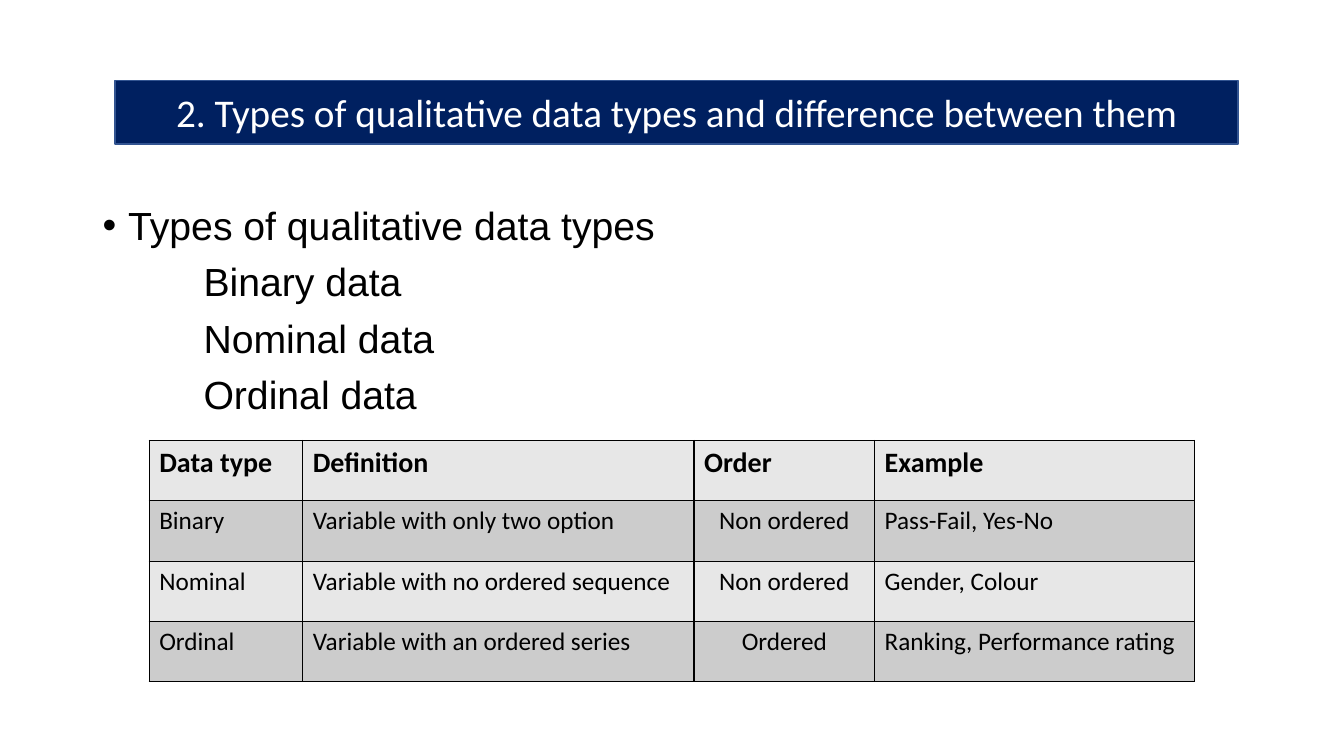
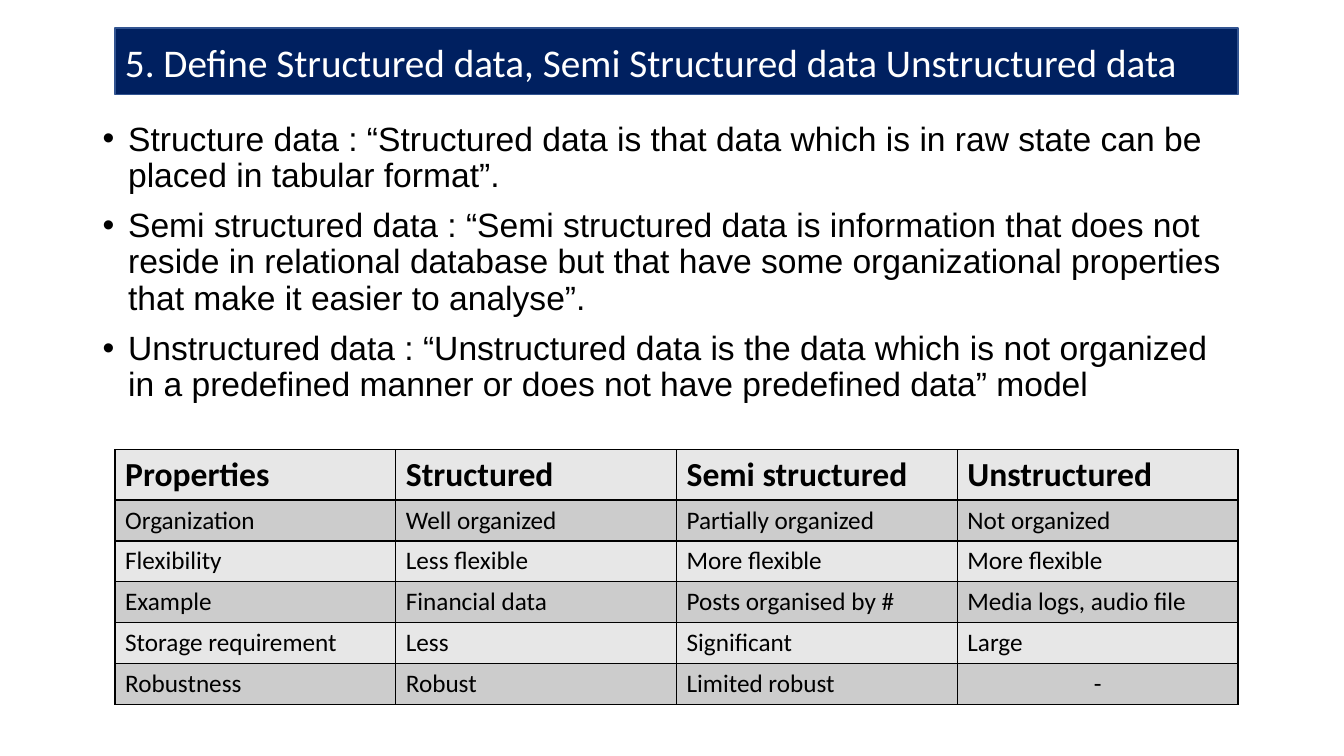
import dataclasses

import lxml.etree
import pptx
import pptx.dml.color
import pptx.enum.shapes
import pptx.enum.text
import pptx.oxml
import pptx.oxml.ns
import pptx.util

Cm = pptx.util.Cm
Pt = pptx.util.Pt
Align = pptx.enum.text.PP_ALIGN
qn = pptx.oxml.ns.qn


def paint(code):
    return pptx.dml.color.RGBColor.from_string(code)


@dataclasses.dataclass(frozen=True)
class Theme:
    ink: str = "000000"
    navy: str = "002060"
    edge: str = "325491"
    white: str = "FFFFFF"
    bands: tuple = ("E7E7E7", "CCCCCC")
    sans: str = "Arial"
    face: str = "Calibri"
    large: int = 28
    mid: int = 24
    head: int = 20
    small: int = 18
    rule: int = 1


THEME = Theme()


@dataclasses.dataclass(frozen=True)
class Box:
    left: float
    top: float
    width: float
    height: float

    def place(self):
        return [Cm(v) for v in (self.left, self.top, self.width, self.height)]


def assign(item, values):
    for name, value in values.items():
        setattr(item, name, value)


def write(par, text, face, size, tone, align=Align.LEFT, bold=False):
    par.alignment = align
    run = par.add_run()
    run.text = text
    assign(run.font, {"name": face, "size": Pt(size), "bold": bold})
    run.font.color.rgb = paint(tone)


def add_title(slide, box, text, align):
    bar = slide.shapes.add_shape(
        pptx.enum.shapes.MSO_SHAPE.RECTANGLE, *box.place())
    bar.shadow.inherit = False
    bar.fill.solid()
    bar.fill.fore_color.rgb = paint(THEME.navy)
    bar.line.color.rgb = paint(THEME.edge)
    bar.line.width = Pt(THEME.rule)
    assign(bar.text_frame, {
        "word_wrap": True,
        "vertical_anchor": pptx.enum.text.MSO_ANCHOR.MIDDLE})
    write(bar.text_frame.paragraphs[0], text, THEME.face, THEME.large,
          THEME.white, align)


def indent(par, left, hang, mark):
    props = par._p.get_or_add_pPr()
    props.set("marL", str(Cm(left)))
    props.set("indent", str(-Cm(hang)))
    if mark:
        font = lxml.etree.SubElement(props, qn("a:buFont"))
        font.set("typeface", THEME.sans)
        lxml.etree.SubElement(props, qn("a:buChar")).set("char", mark)
    else:
        lxml.etree.SubElement(props, qn("a:buNone"))


def add_body(slide, box, size, points, subs=()):
    frame = slide.shapes.add_textbox(*box.place()).text_frame
    frame.word_wrap = True
    lines = [(text, 0.64, 0.64, "\u2022") for text in points]
    lines += [(text, 2.54, 0, None) for text in subs]
    for i, (text, left, hang, mark) in enumerate(lines):
        par = frame.add_paragraph() if i else frame.paragraphs[0]
        assign(par, {"line_spacing": 0.9, "space_before": Pt(10)})
        indent(par, left, hang, mark)
        write(par, text, THEME.sans, size, THEME.ink)


def border(cell):
    props = cell._tc.get_or_add_tcPr()
    for side in "LRTB":
        line = lxml.etree.SubElement(props, qn("a:ln" + side))
        line.set("w", str(Pt(THEME.rule)))
        fill = lxml.etree.SubElement(line, qn("a:solidFill"))
        lxml.etree.SubElement(fill, qn("a:srgbClr")).set("val", THEME.ink)


def add_grid(slide, box, rows, widths, head, centred):
    grid = slide.shapes.add_table(
        len(rows), len(widths), *box.place()).table
    for col, width in zip(grid.columns, widths):
        col.width = Cm(width)
    for r, row in enumerate(rows):
        grid.rows[r].height = Cm(box.height / len(rows))
        for c, text in enumerate(row):
            cell = grid.cell(r, c)
            border(cell)
            cell.fill.solid()
            cell.fill.fore_color.rgb = paint(THEME.bands[r % 2])
            write(cell.text_frame.paragraphs[0], text, THEME.face,
                  THEME.small if r else head, THEME.ink,
                  Align.CENTER if (r, c) in centred else Align.LEFT, not r)


def add_types(slide):
    add_title(slide, Box(2.9, 2.03, 28.3, 1.6),
              "2. Types of qualitative data types and difference between them",
              Align.CENTER)
    add_body(slide, Box(2.34, 5.08, 29.21, 12.09), THEME.large,
             ["Types of qualitative data types"],
             ["Binary data", "Nominal data", "Ordinal data"])
    rows = [
        ("Data type", "Definition", "Order", "Example"),
        ("Binary", "Variable with only two option", "Non ordered",
         "Pass-Fail, Yes-No"),
        ("Nominal", "Variable with no ordered sequence", "Non ordered",
         "Gender, Colour"),
        ("Ordinal", "Variable with an ordered series", "Ordered",
         "Ranking, Performance rating"),
    ]
    add_grid(slide, Box(3.76, 11.1, 26.35, 6.08), rows,
             (3.87, 9.86, 4.55, 8.07), THEME.head,
             [(r, 2) for r in range(1, len(rows))])


def add_terms(slide):
    add_title(slide, Box(2.9, 0.71, 28.3, 1.68),
              "5. Define Structured data, Semi Structured data "
              "Unstructured data", Align.LEFT)
    add_body(slide, Box(2.34, 2.95, 29.21, 12.09), THEME.mid, [
        "Structure data : “Structured data is that data which is in raw "
        "state can be placed in tabular format”.",
        "Semi structured data : “Semi structured data is information that "
        "does not reside in relational database but that have some "
        "organizational properties that make it easier to analyse”.",
        "Unstructured data : “Unstructured data is the data which is not "
        "organized in a predefined manner or does not have predefined "
        "data” model",
    ])
    rows = [
        ("Properties", "Structured", "Semi structured", "Unstructured"),
        ("Organization", "Well organized", "Partially organized",
         "Not organized"),
        ("Flexibility", "Less flexible", "More flexible", "More flexible"),
        ("Example", "Financial data", "Posts organised by #",
         "Media logs, audio file"),
        ("Storage requirement", "Less", "Significant", "Large"),
        ("Robustness", "Robust", "Limited robust", "-"),
    ]
    box = Box(2.9, 11.33, 28.3, 6.18)
    add_grid(slide, box, rows, [box.width / 4] * 4, THEME.mid, [(5, 3)])


def main():
    deck = pptx.Presentation()
    assign(deck, {"slide_width": Cm(33.87), "slide_height": Cm(19.05)})
    for build in (add_types, add_terms):
        build(deck.slides.add_slide(deck.slide_layouts[6]))
    deck.save("out.pptx")


main()
